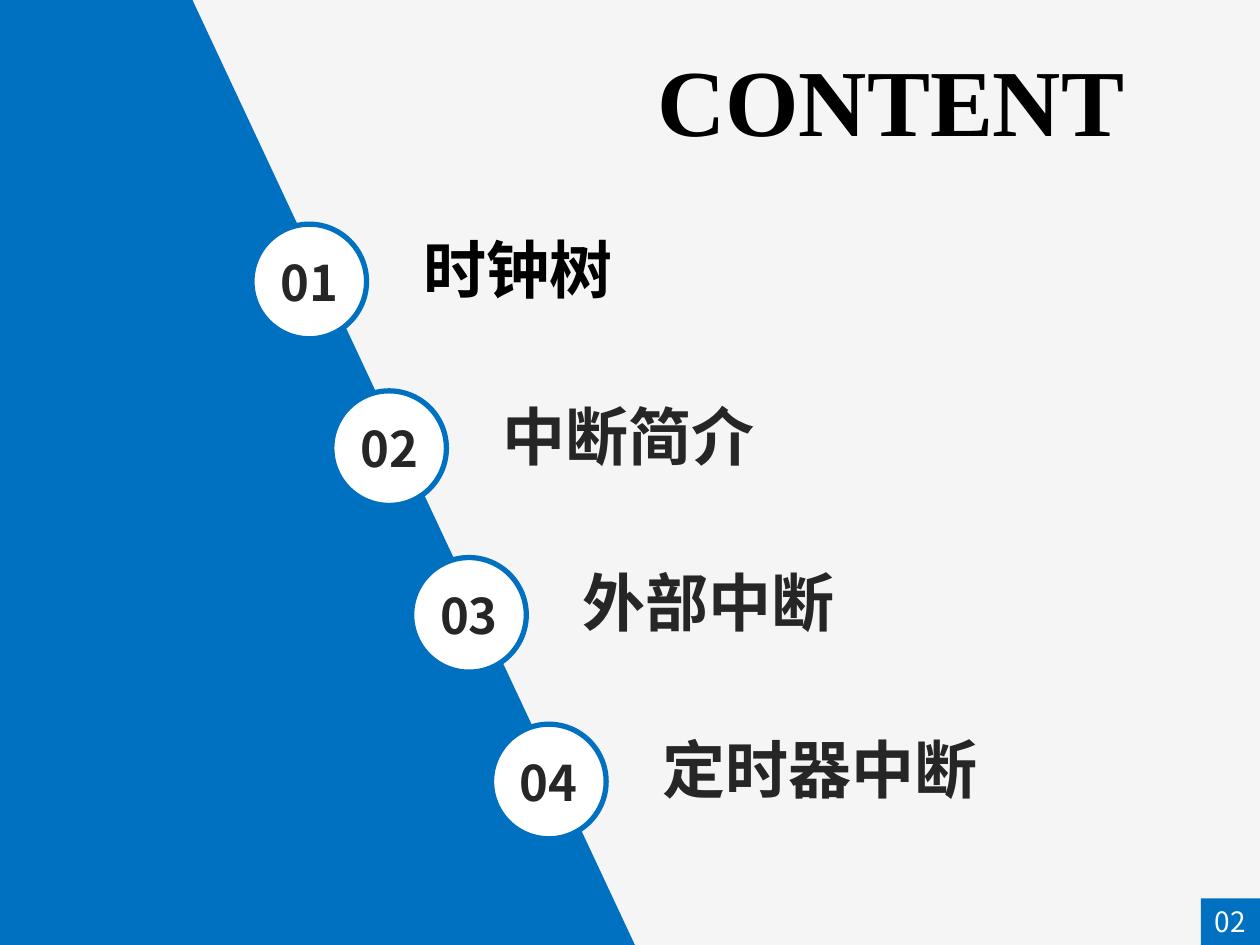
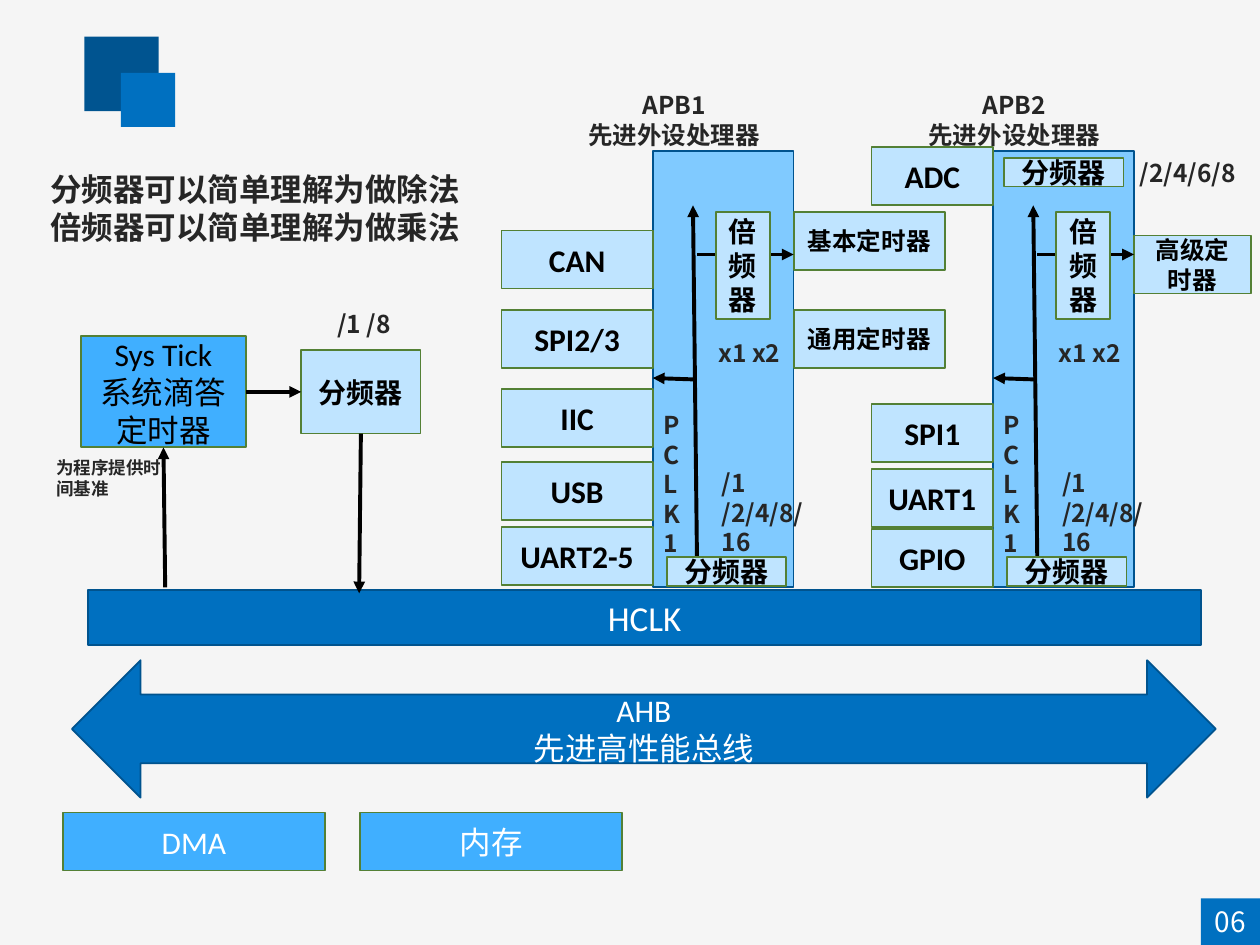
"""Build a contents slide and a clock tree diagram with python-pptx."""
from lxml.etree import SubElement
from pptx import Presentation
from pptx.dml.color import RGBColor
from pptx.enum.shapes import MSO_CONNECTOR, MSO_SHAPE
from pptx.enum.text import MSO_ANCHOR, MSO_AUTO_SIZE, PP_ALIGN
from pptx.oxml.ns import qn
from pptx.util import Cm, Pt

COLORS = {
    "background": "F5F5F5",
    "blue": "0070C0",
    "dark_blue": "005490",
    "blue_edge": "00538E",
    "mid_blue": "40AFFF",
    "column": "80CAFF",
    "pale_blue": "BFE4FF",
    "green_edge": "538035",
    "text": "262626",
    "black": "000000",
    "white": "FFFFFF",
}
CJK = "Noto Sans CJK SC"
LATIN = "Calibri"
SERIF = "Times New Roman"
WIDTH, HEIGHT = 25.4, 19.05
TITLE_ONLY = 5

COLUMN_TOP, COLUMN_WIDTH, COLUMN_HEIGHT = 3.05, 2.84, 8.79
FIRST_COLUMN, SECOND_COLUMN = 13.16, 20.02
BOX_HEIGHT = 1.17


def color(name):
    return RGBColor.from_string(COLORS[name])


def place(shape, left, top, width, height):
    shape.left, shape.top = Cm(left), Cm(top)
    shape.width, shape.height = Cm(width), Cm(height)


def write(shape, text, size, ink, font=CJK, bold=False, align=PP_ALIGN.LEFT,
          anchor=MSO_ANCHOR.TOP):
    text_frame = shape.text_frame
    text_frame.text = text
    text_frame.word_wrap = True
    text_frame.auto_size = MSO_AUTO_SIZE.NONE
    text_frame.vertical_anchor = anchor
    for paragraph in text_frame.paragraphs:
        paragraph.alignment = align
        for run in paragraph.runs:
            run.font.size = Pt(size)
            run.font.bold = bold
            run.font.color.rgb = color(ink)
            run.font.name = font
            SubElement(run._r.get_or_add_rPr(), qn("a:ea"), typeface=CJK)


def paint(shape, fill, edge=None, edge_width=1):
    shape.shadow.inherit = False
    shape.fill.solid()
    shape.fill.fore_color.rgb = color(fill)
    if edge:
        shape.line.color.rgb = color(edge)
        shape.line.width = Pt(edge_width)
    else:
        shape.line.fill.background()


def add_block(slide, left, top, width, height, fill, edge=None, edge_width=1,
              kind=MSO_SHAPE.RECTANGLE):
    shape = slide.shapes.add_shape(
        kind, Cm(left), Cm(top), Cm(width), Cm(height))
    paint(shape, fill, edge, edge_width)
    return shape


def fill_text(shape, text, size, ink, font=LATIN, bold=False):
    write(shape, text, size, ink, font, bold, PP_ALIGN.CENTER,
          MSO_ANCHOR.MIDDLE)


def add_unit(slide, text, left, top, width, height=BOX_HEIGHT, size=18):
    shape = add_block(slide, left, top, width, height, "pale_blue",
                      "green_edge")
    fill_text(shape, text, size, "black", bold=True)
    return shape


def add_label(slide, text, left, top, width, size=14, ink="text", font=CJK,
              align=PP_ALIGN.LEFT, height=0.94):
    label = slide.shapes.add_textbox(
        Cm(left), Cm(top), Cm(width), Cm(height))
    write(label, text, size, ink, font, True, align)


def add_arrow(slide, start, end):
    connector = slide.shapes.add_connector(
        MSO_CONNECTOR.STRAIGHT, *(Cm(value) for value in (*start, *end)))
    connector.line.color.rgb = color("black")
    connector.line.width = Pt(2.25)
    properties = connector.element.spPr
    SubElement(properties.find(qn("a:ln")), qn("a:tailEnd"), type="triangle")
    SubElement(properties, qn("a:effectLst"))
    return connector


def add_title(slide, text, left, top, width, height, **style):
    title = slide.shapes.title
    place(title, left, top, width, height)
    write(title, text, bold=True, **style)


def add_page_number(slide, number):
    badge = add_block(slide, 24.21, 18.11, 1.19, 0.94, "blue")
    badge.text_frame.margin_left = badge.text_frame.margin_right = 0
    fill_text(badge, number, 16, "white", CJK)


def add_side_panel(slide):
    builder = slide.shapes.build_freeform(0, 0)
    corners = [(3.88, 0), (12.8, HEIGHT), (0, HEIGHT)]
    builder.add_line_segments([(Cm(x), Cm(y)) for x, y in corners])
    paint(builder.convert_to_shape(), "blue")


def add_content_item(slide, index, text, ink="text", font=CJK):
    left, top = 5.08 + 1.61 * index, 4.52 + 3.36 * index
    circle = add_block(slide, left, top, 2.31, 2.31, "white", "blue", 3,
                       MSO_SHAPE.OVAL)
    circle.text_frame.margin_left = circle.text_frame.margin_right = 0
    fill_text(circle, f"{index + 1:02d}", 28, "text", CJK, True)
    add_label(slide, text, left + 3.2, top, 12.2, 36, ink, font, height=1.8)


def add_bus_column(slide, name, left, peripherals, peripheral_width, timers,
                   timer_width):
    right = left + COLUMN_WIDTH
    add_label(slide, f"{name}\n先进外设处理器", left - 1.87, 1.7, 4.6,
              align=PP_ALIGN.CENTER)
    add_block(slide, left, COLUMN_TOP, COLUMN_WIDTH, COLUMN_HEIGHT, "column",
              "blue_edge")
    for text, top in peripherals:
        add_unit(slide, text, left - peripheral_width, top, peripheral_width)
    for text, top in timers:
        add_unit(slide, text, right, top, timer_width, size=14)
    add_arrow(slide, (left + 0.87, 7.65), (left, 7.62))
    add_arrow(slide, (left + 0.89, 11.25), (left + 0.81, 4.14))
    add_arrow(slide, (left + 0.89, 5.13), (right, 5.13))
    add_label(slide, "PCLK1", left - 0.03, 8.15, 0.84)
    add_divider(slide, left + 0.28, 11.23)
    add_unit(slide, "倍频器", left + 1.27, 4.27, 1.09, 2.16, 16)
    add_label(slide, "/1 /2/4/8/16", left + 1.14, 9.32, 2.34)
    add_label(slide, "x1 x2", left + 1.07, 6.68, 2.44)


def add_divider(slide, left, top):
    add_unit(slide, "分频器", left, top, 2.41, 0.58, 16)


def add_system_tick(slide):
    tick = add_block(slide, 1.63, 6.78, 3.33, 2.24, "mid_blue", "green_edge")
    fill_text(tick, "Sys Tick\n系统滴答定时器", 18, "black")
    divider = add_unit(slide, "分频器", 6.07, 7.06, 2.41, 1.68, 16)
    add_label(slide, "/1 /8", 6.55, 6.1, 2.44)
    add_label(slide, "为程序提供时间基准", 0.89, 9.09, 2.67, 10)
    from_bus = add_arrow(slide, (3.33, 11.84), (3.28, 9.02))
    from_bus.end_connect(tick, 2)
    to_divider = add_arrow(slide, (4.95, 7.9), (6.07, 7.9))
    to_divider.begin_connect(tick, 3)
    to_divider.end_connect(divider, 1)
    to_bus = add_arrow(slide, (7.28, 8.74), (7.24, 11.96))
    to_bus.begin_connect(divider, 2)


def add_main_buses(slide):
    high_speed = add_block(slide, 1.45, 13.31, 23.06, 2.77, "blue",
                           "blue_edge", kind=MSO_SHAPE.LEFT_RIGHT_ARROW)
    fill_text(high_speed, "AHB\n先进高性能总线", 18, "white")
    for text, left in (("DMA", 1.27), ("内存", 7.26)):
        block = add_block(slide, left, 16.38, 5.28, BOX_HEIGHT, "mid_blue",
                          "green_edge")
        fill_text(block, text, 18, "white")
    clock = add_block(slide, 1.78, 11.89, 22.43, 1.12, "blue", "blue_edge")
    fill_text(clock, "HCLK", 20, "white")


def build_contents(slide):
    add_side_panel(slide)
    add_title(slide, "CONTENT", 12.12, 0.71, 11.68, 2.57, size=54,
              ink="black", font=SERIF, align=PP_ALIGN.CENTER)
    add_content_item(slide, 0, "时钟树", "black")
    add_content_item(slide, 1, "中断简介")
    add_content_item(slide, 2, "外部中断", font=SERIF)
    add_content_item(slide, 3, "定时器中断")
    add_page_number(slide, "02")


def build_clock_tree(slide):
    add_block(slide, 1.7, 0.74, 1.5, 1.5, "dark_blue")
    add_block(slide, 2.44, 1.47, 1.09, 1.09, "blue")
    add_title(slide, "分频器可以简单理解为做除法\n倍频器可以简单理解为做乘法",
              0.76, 3.3, 9.3, 1.8, size=18, ink="text")
    add_main_buses(slide)
    add_system_tick(slide)
    add_bus_column(
        slide, "APB1", FIRST_COLUMN,
        [("CAN", 4.65), ("SPI2/3", 6.25), ("IIC", 7.85), ("USB", 9.32),
         ("UART2-5", 10.62)], 3.05,
        [("基本定时器", 4.27), ("通用定时器", 6.25)], 3.05)
    add_bus_column(
        slide, "APB2", SECOND_COLUMN,
        [("ADC", 2.97), ("SPI1", 8.15), ("UART1", 9.45), ("GPIO", 10.67)],
        2.45, [("高级定时器", 4.75)], 2.36)
    add_divider(slide, SECOND_COLUMN + 0.22, 3.18)
    add_label(slide, "/2/4/6/8", 22.73, 3.07, 2.67)
    add_page_number(slide, "06")


def main():
    presentation = Presentation()
    presentation.slide_width, presentation.slide_height = Cm(WIDTH), Cm(HEIGHT)
    background = presentation.slide_master.background.fill
    background.solid()
    background.fore_color.rgb = color("background")
    layout = presentation.slide_layouts[TITLE_ONLY]
    for build in (build_contents, build_clock_tree):
        build(presentation.slides.add_slide(layout))
    presentation.save("out.pptx")


if __name__ == "__main__":
    main()
